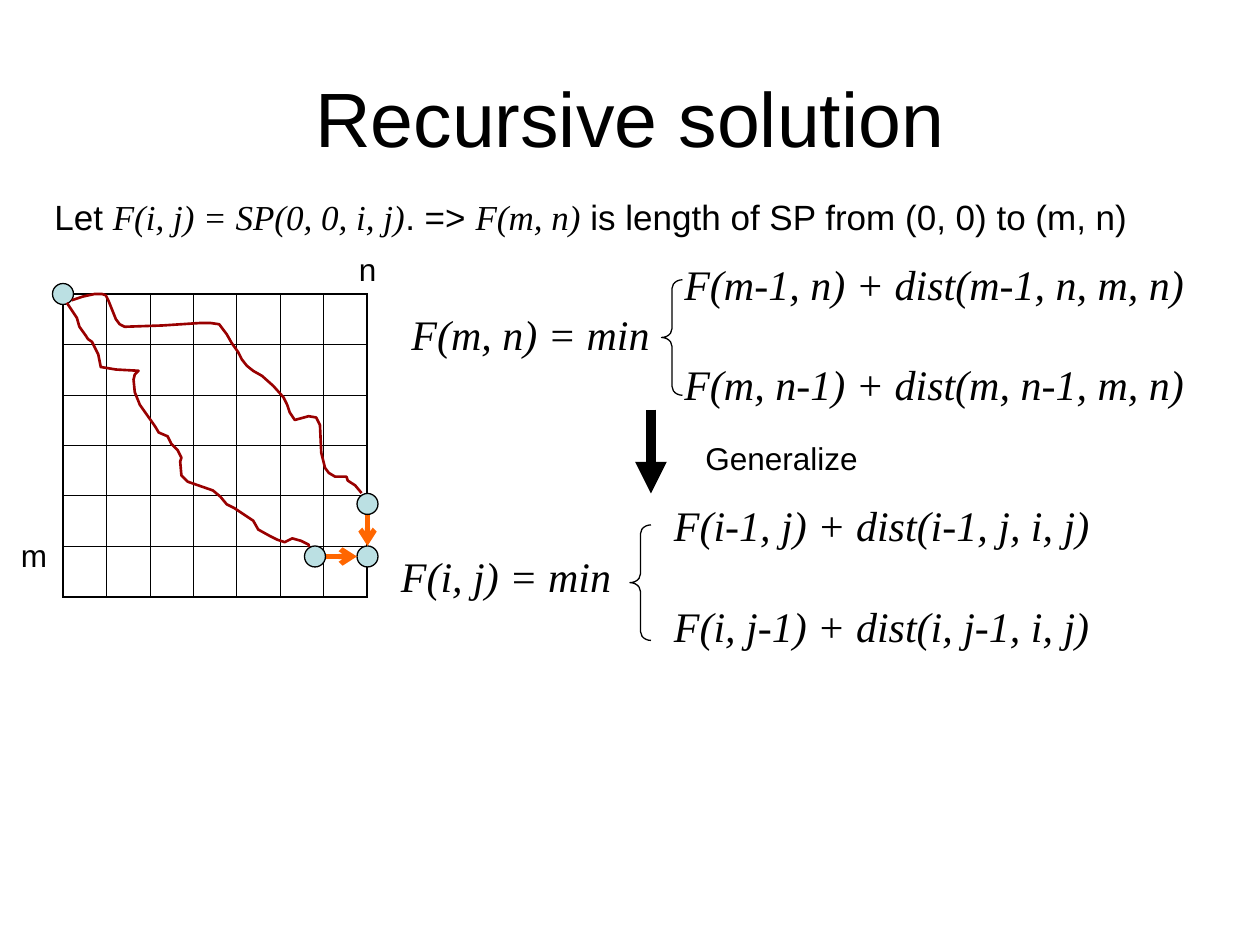
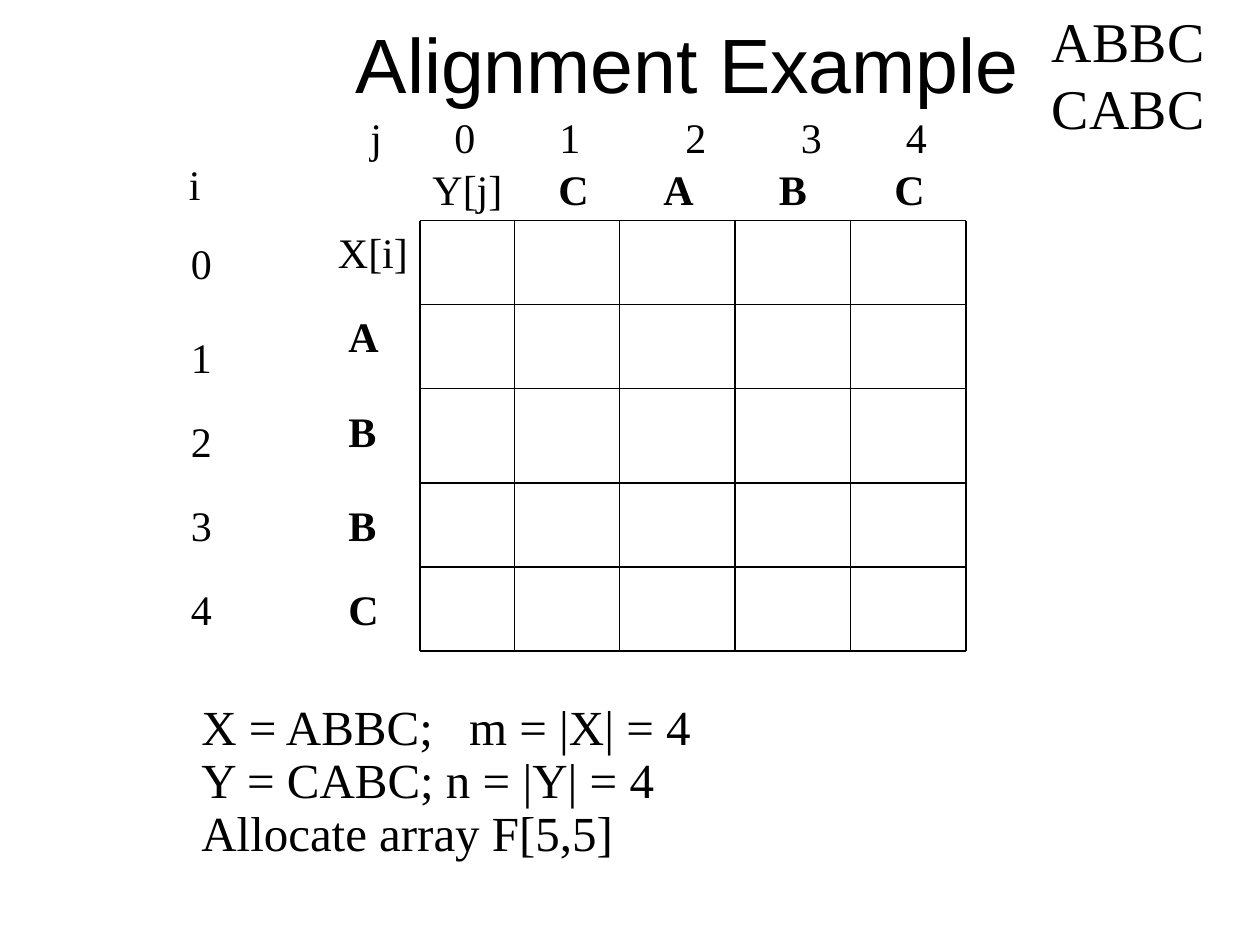
from itertools import product

from lxml import etree
from pptx import Presentation
from pptx.dml.color import RGBColor
from pptx.enum.shapes import MSO_CONNECTOR, MSO_SHAPE
from pptx.enum.text import MSO_ANCHOR, MSO_AUTO_SIZE, PP_ALIGN
from pptx.oxml import parse_xml
from pptx.oxml.ns import nsdecls, qn
from pptx.util import Inches, Pt

SLIDE_COLUMNS, SLIDE_ROWS = 120, 90
UNIT = Inches(10) / SLIDE_COLUMNS
BLACK, NODE_BLUE, STEP_ORANGE, TRAIL_RED = "000000", "BBE0E3", "FF6600", "990000"
SANS, SERIF = "Arial", "Times New Roman"

UPPER_TRAIL = [
    (7, 5), (16, 2), (25, 0), (31, 0), (34, 1), (36, 5), (38, 10), (42, 20), (45, 24),
    (49, 26), (79, 25), (109, 23), (117, 23), (124, 24), (130, 32), (134, 39), (139, 46),
    (142, 52), (146, 57), (151, 61), (158, 65), (167, 73), (175, 82), (178, 88), (180, 94),
    (184, 100), (195, 97), (201, 98), (204, 104), (205, 126), (208, 138), (211, 142),
    (216, 145), (225, 145), (226, 148), (232, 152), (237, 158),
]
LOWER_TRAIL = [
    (3, 7), (11, 19), (13, 26), (18, 33), (20, 36), (23, 38), (28, 48), (30, 58), (42, 60),
    (60, 61), (57, 64), (56, 68), (57, 78), (61, 88), (73, 105), (76, 110), (83, 113),
    (86, 119), (91, 124), (94, 130), (93, 133), (94, 144), (99, 149), (119, 156), (125, 161),
    (130, 167), (136, 170), (151, 180), (155, 187), (164, 192), (170, 195), (176, 197),
    (182, 194), (189, 196), (195, 199), (195, 201),
]


def units(*counts):
    """Turn grid columns or rows into lengths."""
    return [round(count * UNIT) for count in counts]


def rgb(code):
    """Turn a hex string into a colour."""
    return RGBColor.from_string(code)


def style_line(line, color, width):
    """Give a line its colour and width."""
    line.color.rgb = rgb(color)
    line.width = Pt(width)


def add_run(paragraph, text, size, font=SERIF, bold=False, italic=False):
    """Add one formatted run."""
    run = paragraph.add_run()
    run.text = text
    run.font.size, run.font.name = Pt(size), font
    run.font.bold, run.font.italic = bold, italic
    run.font.color.rgb = rgb(BLACK)


def set_tabs(paragraph, stops):
    """Set left tab stops, given in grid columns."""
    tab_list = etree.SubElement(paragraph._p.get_or_add_pPr(), qn("a:tabLst"))
    for stop in units(*stops):
        etree.SubElement(tab_list, qn("a:tab"), pos=str(stop), algn="l")


def add_text(slide, box, lines, size, tabs=(), wrap=False, spacing=None, **look):
    """Write lines, each a string or a list of (text, look) runs."""
    frame = slide.shapes.add_textbox(*units(*box)).text_frame
    frame.word_wrap = wrap
    frame.auto_size = MSO_AUTO_SIZE.SHAPE_TO_FIT_TEXT
    for number, line in enumerate(lines):
        paragraph = frame.add_paragraph() if number else frame.paragraphs[0]
        if spacing:
            paragraph.line_spacing = spacing
        if tabs:
            set_tabs(paragraph, tabs)
        for text, run_look in [(line, look)] if isinstance(line, str) else line:
            add_run(paragraph, text, size, **run_look)


def add_line(slide, start, end, color=BLACK, width=0.75, head=None):
    """Draw a straight line, with an arrowhead at its end if asked."""
    line = slide.shapes.add_connector(MSO_CONNECTOR.STRAIGHT, *units(*start, *end))
    style_line(line.line, color, width)
    properties = line.element.spPr
    if head:
        etree.SubElement(properties.find(qn("a:ln")), qn("a:tailEnd"), type=head)
    etree.SubElement(properties, qn("a:effectLst"))


def add_titled_slide(deck, title, box):
    """Start a slide with its title in the given box."""
    slide = deck.slides.add_slide(deck.slide_layouts[5])
    heading = slide.shapes.title
    heading.left, heading.top, heading.width, heading.height = units(*box)
    heading.text_frame.vertical_anchor = MSO_ANCHOR.MIDDLE
    paragraph = heading.text_frame.paragraphs[0]
    paragraph.alignment = PP_ALIGN.CENTER
    add_run(paragraph, title, 44, SANS)
    return slide


def add_formula(slide, box, result, choices, brace_offset):
    """Write a minimum of two choices joined by a brace."""
    left, top = box[:2]
    lines = ["\t" + choices[0], result + " = min", "\t" + choices[1]]
    add_text(slide, box, lines, 24, tabs=[26], wrap=True, italic=True)
    across, down = brace_offset
    brace = slide.shapes.add_shape(
        MSO_SHAPE.LEFT_BRACE, *units(left + across, top + down, 2, 11))
    brace.adjustments[0] = 0.42
    brace.shadow.inherit = False
    brace.fill.background()
    style_line(brace.line, BLACK, 0.75)


def add_lattice(slide, box, columns, rows):
    """Draw the empty lattice as a table with a heavier outline."""
    table = slide.shapes.add_table(rows, columns, *units(*box)).table
    table.first_row = table.horz_banding = False
    for row, column in product(range(rows), range(columns)):
        cell = table.cell(row, column)
        cell.fill.background()
        outer = {"L": column == 0, "R": column == columns - 1,
                 "T": row == 0, "B": row == rows - 1}
        for place, (side, heavy) in enumerate(outer.items()):
            border = parse_xml(
                f'<a:ln{side} {nsdecls("a")} w="{Pt(1.08 if heavy else 0.45)}"><a:solidFill>'
                f'<a:srgbClr val="{BLACK}"/></a:solidFill></a:ln{side}>')
            cell._tc.get_or_add_tcPr().insert(place, border)


def add_node(slide, center):
    """Draw a round node about its centre."""
    x, y = center
    node = slide.shapes.add_shape(MSO_SHAPE.OVAL, *units(x - 1, y - 1, 2, 2))
    node.shadow.inherit = False
    node.fill.solid()
    node.fill.fore_color.rgb = rgb(NODE_BLUE)
    style_line(node.line, BLACK, 0.75)


def add_trail(slide, corner, points):
    """Draw a winding trail from points in hundredths of an inch."""
    left, top = units(*corner)
    scale = Inches(0.01)
    builder = slide.shapes.build_freeform(*points[0], scale=scale)
    builder.add_line_segments(points[1:], close=False)
    trail = builder.convert_to_shape(left, top)
    trail.shadow.inherit = False
    trail.fill.background()
    style_line(trail.line, TRAIL_RED, 1.5)


def add_path_lattice(slide, box):
    """Show two trails through the lattice and their last steps."""
    left, top, width, height = box
    right, bottom = left + width, top + height
    add_lattice(slide, box, 7, 6)
    goal, above, before = (right, bottom), (right, bottom - 5), (right - 5, bottom)
    add_node(slide, (left, top))
    add_node(slide, goal)
    add_line(slide, (right, bottom - 4), (right, bottom - 1), STEP_ORANGE, 3, "arrow")
    add_node(slide, above)
    add_line(slide, (right - 4, bottom), (right - 1, bottom), STEP_ORANGE, 3, "arrow")
    add_node(slide, before)
    for trail in (UPPER_TRAIL, LOWER_TRAIL):
        add_trail(slide, (left, top), trail)
    add_text(slide, (left - 5.2, bottom - 2.5, 4.9, 4.8), ["m"], 18, font=SANS)
    add_text(slide, (right - 2, top - 4.8, 4.1, 4.8), ["n"], 18, font=SANS)


def build_recursion(deck):
    """Build the slide on the recursive solution."""
    slide = add_titled_slide(deck, "Recursive solution", (6, 3.6, 108, 15))
    plain, formula = {"font": SANS}, {"italic": True}
    definition = [
        ("Let ", plain), ("F(i, j) = SP(0, 0, i, j)", formula), (". => ", plain),
        ("F(m, n)", formula), (" is length of SP from (0, 0) to (m, n)", plain)]
    add_text(slide, (4, 18, 113, 5.25), [definition], 20, wrap=True)
    add_formula(slide, (38, 24, 81, 15.6), "F(m, n)",
                ["F(m-1, n) + dist(m-1, n, m, n)", "F(m, n-1) + dist(m, n-1, m, n)"], (25, 2.65))
    add_formula(slide, (37, 47, 81, 15.6), "F(i, j)",
                ["F(i-1, j) + dist(i-1, j, i, j)", "F(i, j-1) + dist(i, j-1, i, j)"], (23, 3))
    add_line(slide, (62, 39), (62, 47), width=6, head="triangle")
    add_text(slide, (66, 41.2, 17, 4.8), ["Generalize"], 18, font=SANS)
    add_path_lattice(slide, (6, 28, 29, 25))


def add_alignment_grid(slide, corner):
    """Draw the alignment grid with its letters and indices."""
    left, top = corner
    columns = [left + step for step in (0, 9, 19, 30, 41, 52)]
    rows = [top + step for step in (0, 8, 16, 25, 33, 41)]
    for x in columns:
        add_line(slide, (x, top), (x, rows[-1]))
    for y in rows:
        add_line(slide, (left, y), (columns[-1], y))
    add_text(slide, (left - 5.9, top - 11, 55.4, 6), ["j\t0\t1\t2\t3\t4"], 24,
             tabs=[8, 18, 30, 41, 51])
    add_text(slide, (left - 23.2, top - 6.5, 3.5, 6), ["i"], 24)
    for index, (y, drop) in enumerate(zip(rows, (1, 2, 2, 1, 1))):
        add_text(slide, (left - 23, y + drop, 4.3, 6), [str(index)], 24)
    add_text(slide, (left - 9, top, 9.5, 6), ["X[i]"], 24)
    add_text(slide, (left, top - 6, 9.5, 6), ["Y[j]"], 24)
    for letter, y, drop in zip("ABBC", rows[1:], (0, 1, 1, 1)):
        add_text(slide, (left - 8, y + drop, 5.3, 6), [letter], 24, bold=True)
    for letter, x in zip("CABC", columns[1:]):
        add_text(slide, (x + 3, top - 6, 5.3, 6), [letter], 24, bold=True)


def build_alignment(deck):
    """Build the slide with the alignment example."""
    slide = add_titled_slide(deck, "Alignment Example", (11, 0, 109, 12))
    add_alignment_grid(slide, (40, 21))
    sizes = ["X = ABBC;\tm = |X| = 4", "Y = CABC; n = |Y| = 4", "Allocate array F[5,5]"]
    add_text(slide, (18, 66.4, 50.4, 16.3), sizes, 28, tabs=[25.5], spacing=0.9)
    add_text(slide, (99, 0, 21, 14), ["ABBC", "CABC"], 32, wrap=True)


def main():
    """Build and save the deck."""
    deck = Presentation()
    deck.slide_width, deck.slide_height = units(SLIDE_COLUMNS, SLIDE_ROWS)
    build_recursion(deck)
    build_alignment(deck)
    deck.save("out.pptx")


if __name__ == "__main__":
    main()
